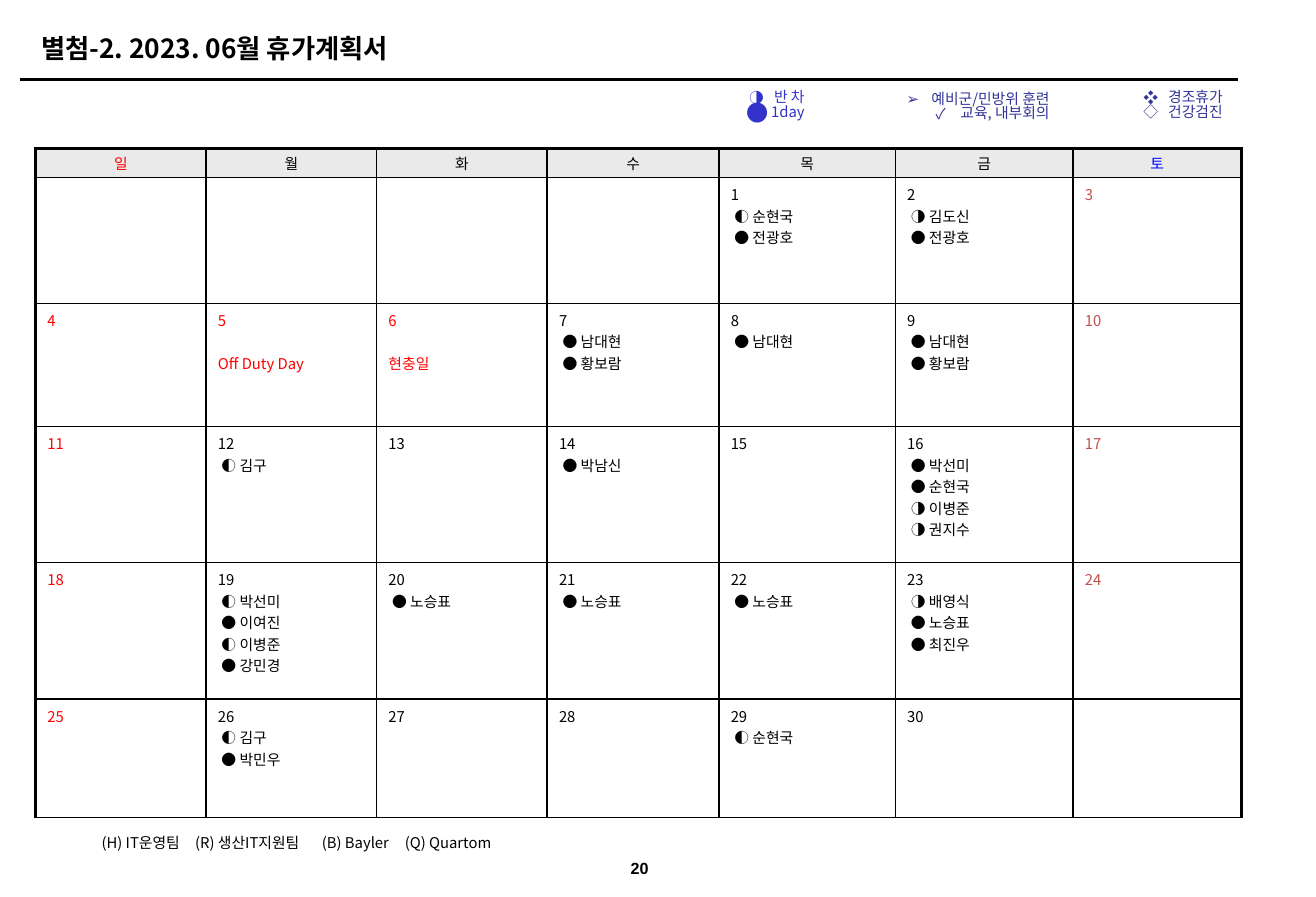
from lxml import etree
from pptx import Presentation
from pptx.dml.color import RGBColor
from pptx.enum.shapes import MSO_CONNECTOR
from pptx.enum.text import MSO_ANCHOR, MSO_AUTO_SIZE, PP_ALIGN
from pptx.oxml.ns import qn
from pptx.util import Inches, Pt

LEFT, CENTER, RIGHT = PP_ALIGN.LEFT, PP_ALIGN.CENTER, PP_ALIGN.RIGHT
TOP, MIDDLE = MSO_ANCHOR.TOP, MSO_ANCHOR.MIDDLE
NO_FIT = MSO_AUTO_SIZE.NONE
STRAIGHT = MSO_CONNECTOR.STRAIGHT

TITLE = "별첨-2. 2023. 06월 휴가계획서"
PAGE = "20"
TEAMS = "(H) IT운영팀\t(R) 생산IT지원팀\t(B) Bayler\t(Q) Quartom"
TEAM_TABS = (0.79, 1.86, 2.56)
WEEK = ["일", "월", "화", "수", "목", "금", "토"]
START, DAYS = 4, 30
HOLIDAYS = {5: "Off Duty Day", 6: "현충일"}
LEAVE = {
    1: ["◐ 순현국", "● 전광호"],
    2: ["◑ 김도신", "● 전광호"],
    7: ["● 남대현", "● 황보람"],
    8: ["● 남대현"],
    9: ["● 남대현", "● 황보람"],
    12: ["◐ 김구"],
    14: ["● 박남신"],
    16: ["● 박선미", "● 순현국", "◑ 이병준", "◑ 권지수"],
    19: ["◐ 박선미", "● 이여진", "◐ 이병준", "● 강민경"],
    20: ["● 노승표"],
    21: ["● 노승표"],
    22: ["● 노승표"],
    23: ["◑ 배영식", "● 노승표", "● 최진우"],
    26: ["◐ 김구", "● 박민우"],
    29: ["◐ 순현국"],
}
KEYS = [
    ((6.17, 0.72, 0.72, 0.4), "blue", 0.1,
     [("◑", "반 차", 100), ("●", "1day", 150)]),
    ((7.41, 0.73, 1.58, 0.39), "navy", 0.13,
     [("➢", "예비군/민방위 훈련", 100), ("✓", "교육, 내부회의", 100)]),
    ((8.59, 0.72, 1.83, 0.39), "navy", 0.1,
     [("❖", "경조휴가", 100), ("◇", "건강검진", 100)]),
]
COLS = [1.44, 1.44, 1.44, 1.45, 1.49, 1.5, 1.42]
ROWS = [0.25, 1.06, 1.04, 1.15, 1.15, 1]
THEME = {
    "font": "Noto Sans CJK KR", "digit": "Arial",
    "title": 16, "body": 9, "page": 9.8, "thin": 1, "thick": 2, "rule": 1.5,
    "black": "000000", "head": "EAEAEA", "red": "FF0000", "sat": "0000FF",
    "rose": "C0504D", "blue": "3333CC", "navy": "333399",
}


def add(parent, tag, **attrs):
    node = etree.SubElement(parent, qn(tag))
    for key, value in attrs.items():
        node.set(key, str(value))
    return node


def write(frame, text, size="body", color="black", font="font", bold=False,
          align=LEFT, indent=0, space=None, before=0, bullet=None, scale=100,
          tabs=()):
    para = frame.paragraphs[0]
    if para.runs:
        para = frame.add_paragraph()
    para.alignment = align
    if space:
        para.line_spacing = space
    if before:
        para.space_before = Pt(before)
    props = para._p.get_or_add_pPr()
    if indent:
        props.set("marL", str(Inches(indent)))
    if bullet:
        props.set("indent", str(-Inches(indent)))
        add(add(props, "a:buClr"), "a:srgbClr", val=THEME[color])
        add(props, "a:buSzPct", val=scale * 1000)
        add(props, "a:buFont", typeface=THEME[font])
        add(props, "a:buChar", char=bullet)
    if tabs:
        stops = add(props, "a:tabLst")
        for tab in tabs:
            add(stops, "a:tab", pos=Inches(tab), algn="l")
    run = para.add_run()
    run.text = text
    run.font.size = Pt(THEME[size])
    run.font.bold = bold
    run.font.color.rgb = RGBColor.from_string(THEME[color])
    run.font.name = THEME[font]
    add(run._r.get_or_add_rPr(), "a:ea", typeface=THEME[font])


def make_box(slide, place, anchor=TOP, wrap=True):
    frame = slide.shapes.add_textbox(*map(Inches, place)).text_frame
    frame.word_wrap = wrap
    frame.vertical_anchor = anchor
    return frame


def edge(cell, row, col):
    last = len(COLS) - 1
    heavy = {"a:lnL": col == 0, "a:lnR": col == last,
             "a:lnT": row == 0, "a:lnB": False}
    props = cell._tc.get_or_add_tcPr()
    for tag, bold in heavy.items():
        width = Pt(THEME["thick" if bold else "thin"])
        line = add(props, tag, w=width)
        add(add(line, "a:solidFill"), "a:srgbClr", val=THEME["black"])


def fill_day(frame, day, col):
    color = "black"
    if col == 0 or day in HOLIDAYS:
        color = "red"
    elif col == 6:
        color = "rose"
    write(frame, str(day), color=color)
    if day in HOLIDAYS:
        write(frame, HOLIDAYS[day], color=color, before=13)
    for entry in LEAVE.get(day, []):
        write(frame, entry, indent=0.03)


def draw_month(slide):
    place = map(Inches, (0.3, 1.25, sum(COLS), sum(ROWS)))
    table = slide.shapes.add_table(len(ROWS), len(COLS), *place).table
    table.first_row = table.horz_banding = False
    for col, width in enumerate(COLS):
        table.columns[col].width = Inches(width)
    for row, height in enumerate(ROWS):
        table.rows[row].height = Inches(height)
        for col, name in enumerate(WEEK):
            cell = table.cell(row, col)
            edge(cell, row, col)
            if row == 0:
                cell.fill.solid()
                cell.fill.fore_color.rgb = RGBColor.from_string(THEME["head"])
                cell.vertical_anchor = MIDDLE
                cell.margin_top = cell.margin_bottom = Inches(0.03)
                color = {0: "red", 6: "sat"}.get(col, "black")
                write(cell.text_frame, name, color=color, align=CENTER)
                continue
            cell.fill.background()
            day = (row - 1) * len(COLS) + col - START + 1
            if 1 <= day <= DAYS:
                fill_day(cell.text_frame, day, col)


def main():
    deck = Presentation()
    deck.slide_width, deck.slide_height = Inches(11.11), Inches(7.57)
    slide = deck.slides.add_slide(deck.slide_layouts[5])

    rule = slide.shapes.add_connector(
        STRAIGHT, *map(Inches, (0.17, 0.67, 10.45, 0.67)))
    rule.line.color.rgb = RGBColor.from_string(THEME["black"])
    rule.line.width = Pt(THEME["rule"])
    add(rule._element.spPr, "a:effectLst")

    title = slide.shapes.title
    title.left, title.top, title.width, title.height = map(
        Inches, (0.25, 0.22, 9.9, 0.37))
    title.text_frame.auto_size = NO_FIT
    title.text_frame.vertical_anchor = MIDDLE
    write(title.text_frame, TITLE, size="title", bold=True)

    draw_month(slide)

    for place, color, inset, items in KEYS:
        frame = make_box(slide, place)
        frame.margin_right = Inches(inset)
        for mark, label, scale in items:
            write(frame, label, color=color, align=RIGHT, indent=0.21,
                  space=0.82, bullet=mark, scale=scale)

    teams = make_box(slide, (0.76, 7, 3.6, 0.24), MIDDLE)
    write(teams, TEAMS, space=0.95, tabs=TEAM_TABS)
    page = make_box(slide, (5.13, 7.17, 0.54, 0.31), MIDDLE, wrap=False)
    write(page, PAGE, size="page", font="digit", bold=True, align=CENTER)
    deck.save("out.pptx")


if __name__ == "__main__":
    main()
